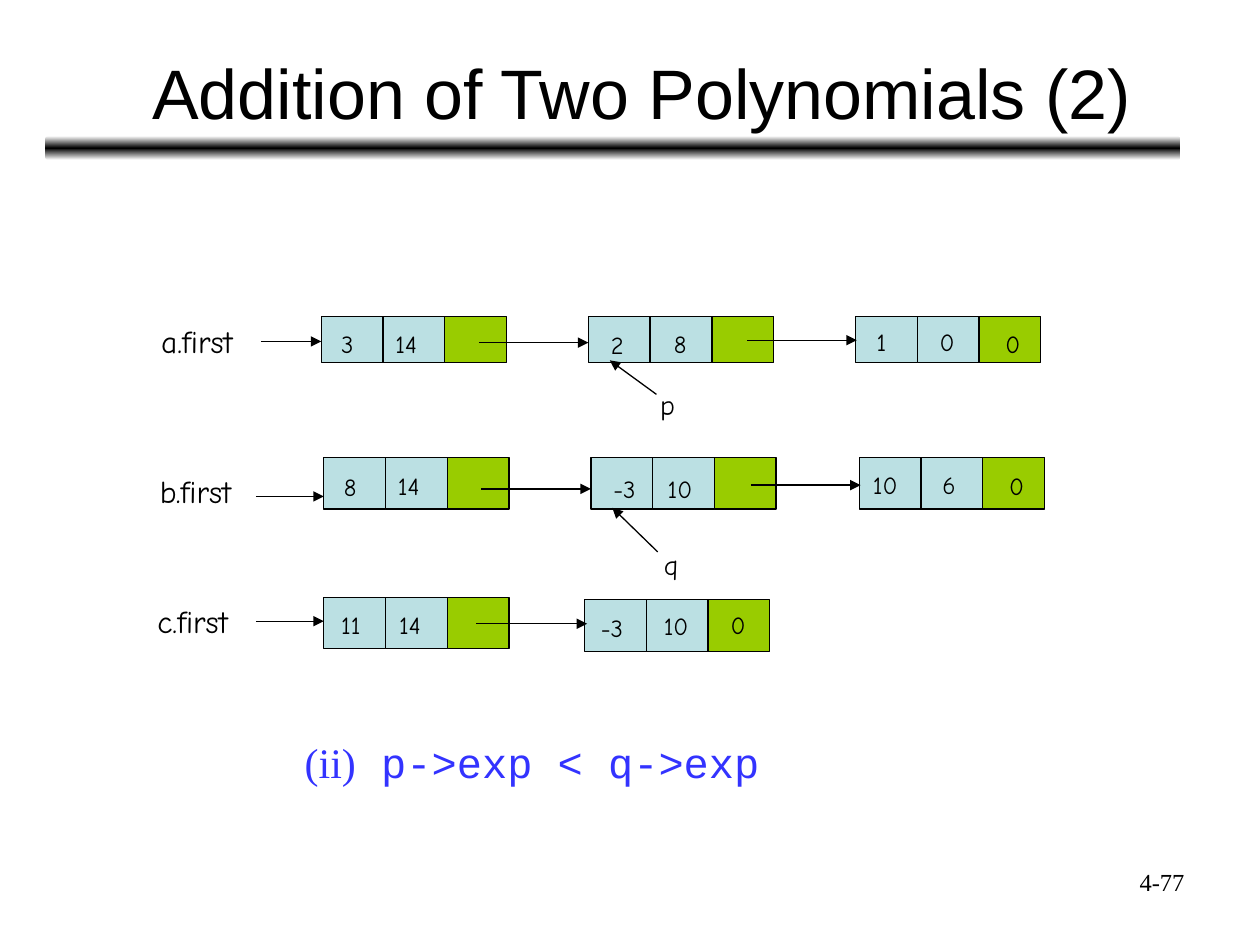
from copy import deepcopy
from dataclasses import dataclass

from lxml.etree import SubElement
from pptx import Presentation
from pptx.dml.color import RGBColor as RGB
from pptx.enum.shapes import MSO_CONNECTOR as CONN, MSO_SHAPE as SHAPE
from pptx.enum.text import MSO_ANCHOR as ANCHOR, MSO_AUTO_SIZE as FIT, PP_ALIGN as ALIGN
from pptx.oxml.ns import qn
from pptx.util import Inches, Pt


@dataclass(frozen=True)
class Theme:
    """Colours, fonts and type sizes of the slide."""
    ink: RGB = RGB(0, 0, 0)
    paper: RGB = RGB(255, 255, 255)
    data: RGB = RGB(0xBB, 0xE0, 0xE3)
    link: RGB = RGB(0x99, 0xCC, 0x00)
    accent: RGB = RGB(0x33, 0x33, 0xFF)
    heading: str = "Arial"
    hand: str = "Comic Neue"
    code: str = "Courier New"
    serif: str = "Times New Roman"
    title_size: int = 40
    case_size: int = 24
    head_size: int = 18
    pointer_size: int = 16
    value_size: int = 14
    stroke: float = 0.75


@dataclass(frozen=True)
class Label:
    """A short text with the place and width of its box."""
    text: str
    left: float
    top: float
    width: float
    size: int = 14


@dataclass(frozen=True)
class Node:
    """A list node of two data cells and one link cell."""
    left: float
    top: float
    height: float
    values: tuple[Label, ...]


@dataclass(frozen=True)
class Arrow:
    """A straight arrow from one point to another."""
    x1: float
    y1: float
    x2: float
    y2: float


T = Theme()
CELL_W = 0.49

NODES = (
    Node(2.55, 2.51, 0.37, (Label("3", 2.61, 2.56, 0.28), Label("14", 3.04, 2.56, 0.49))),
    Node(4.67, 2.51, 0.37, (Label("2", 4.75, 2.57, 0.28), Label("8", 5.25, 2.56, 0.28))),
    Node(6.79, 2.51, 0.37, (Label("1", 6.86, 2.55, 0.28), Label("0", 7.36, 2.55, 0.28),
                            Label("0", 7.88, 2.56, 0.29))),
    Node(2.57, 3.63, 0.41, (Label("8", 2.63, 3.7, 0.29), Label("14", 3.06, 3.69, 0.49))),
    Node(4.69, 3.63, 0.41, (Label("-3", 4.77, 3.71, 0.44), Label("10", 5.2, 3.71, 0.44))),
    Node(6.82, 3.63, 0.41, (Label("10", 6.83, 3.68, 0.49), Label("6", 7.38, 3.68, 0.29),
                            Label("0", 7.91, 3.69, 0.28))),
    Node(2.57, 4.74, 0.41, (Label("11", 2.61, 4.79, 0.44), Label("14", 3.07, 4.79, 0.44))),
    Node(4.64, 4.76, 0.41, (Label("-3", 4.67, 4.82, 0.44), Label("10", 5.17, 4.8, 0.44),
                            Label("0", 5.7, 4.79, 0.44))),
)
LABELS = (
    Label("a.first", 1.18, 2.51, 1.12, T.head_size),
    Label("b.first", 1.17, 3.7, 1.12, T.head_size),
    Label("c.first", 1.15, 4.73, 1.13, T.head_size),
    Label("p", 5.14, 3.03, 0.28, T.pointer_size),
    Label("q", 5.17, 4.3, 0.28, T.pointer_size),
)
ARROWS = (
    Arrow(2.07, 2.71, 2.55, 2.71), Arrow(3.8, 2.72, 4.67, 2.72), Arrow(5.93, 2.7, 6.8, 2.7),
    Arrow(2.03, 3.94, 2.57, 3.94), Arrow(3.82, 3.88, 4.69, 3.88), Arrow(5.96, 3.85, 6.83, 3.85),
    Arrow(2.03, 4.93, 2.57, 4.93), Arrow(3.78, 4.95, 4.66, 4.95),
    Arrow(5.21, 3.13, 4.84, 2.86), Arrow(5.22, 4.38, 4.86, 4.03),
)


def write(p, text: str, *, size: int, font: str = T.hand, color: RGB = T.ink,
          align: ALIGN = ALIGN.LEFT) -> None:
    """Add a formatted run to a paragraph."""
    p.alignment = align
    r = p.add_run()
    r.text = text
    r.font.size, r.font.name = Pt(size), font
    r.font.color.rgb = color


def add_box(s, left: float, top: float, width: float, height: float, fit: FIT = FIT.SHAPE_TO_FIT_TEXT):
    """Add a wrapping text box and return its first paragraph."""
    sp = s.shapes.add_textbox(Inches(left), Inches(top), Inches(width), Inches(height))
    tf = sp.text_frame
    tf.word_wrap, tf.auto_size = True, fit
    return tf.paragraphs[0]


def draw_label(s, label: Label) -> None:
    """Draw a label in a box one line high."""
    height = round(label.size / 60 + 0.1, 2)
    write(add_box(s, label.left, label.top, label.width, height), label.text, size=label.size)


def draw_node(s, node: Node) -> None:
    """Draw the grouped cells of a node and then its values."""
    grp = s.shapes.add_group_shape()
    for i, color in enumerate((T.data, T.data, T.link)):
        sp = grp.shapes.add_shape(SHAPE.RECTANGLE, Inches(node.left + i * CELL_W), Inches(node.top),
                                  Inches(CELL_W), Inches(node.height))
        sp.shadow.inherit = False
        sp.fill.solid()
        sp.fill.fore_color.rgb = color
        sp.line.color.rgb, sp.line.width = T.ink, Pt(T.stroke)
    for value in node.values:
        draw_label(s, value)


def draw_arrow(s, arrow: Arrow) -> None:
    """Draw an arrow with a triangular head at its end."""
    cx = s.shapes.add_connector(CONN.STRAIGHT, Inches(arrow.x1), Inches(arrow.y1),
                                Inches(arrow.x2), Inches(arrow.y2))
    cx.line.color.rgb, cx.line.width = T.ink, Pt(T.stroke)
    SubElement(cx.line._get_or_add_ln(), qn("a:tailEnd"), type="triangle")
    SubElement(cx._element.spPr, qn("a:effectLst"))


def draw_rule(s) -> None:
    """Draw the soft black bar under the title."""
    sp = s.shapes.add_shape(SHAPE.ROUNDED_RECTANGLE, Inches(0.36), Inches(1.08), Inches(9.01), Inches(0.19))
    sp.shadow.inherit = False
    sp.line.fill.background()
    sp.fill.gradient()
    sp.fill.gradient_angle = 90
    stops = sp._element.spPr.find(".//" + qn("a:gsLst"))
    stops.append(deepcopy(stops[0]))
    for stop, position, color in zip(sp.fill.gradient_stops, (0, 0.5, 1), (T.paper, T.ink, T.paper)):
        stop.position, stop.color.rgb = position, color


def draw_title(s, text: str) -> None:
    """Place and fill the title placeholder."""
    sp = s.shapes.title
    sp.left, sp.top, sp.width, sp.height = Inches(0.75), Inches(0.23), Inches(8.68), Inches(0.88)
    tf = sp.text_frame
    tf.vertical_anchor, tf.auto_size = ANCHOR.BOTTOM, FIT.NONE
    write(tf.paragraphs[0], text, size=T.title_size, font=T.heading, align=ALIGN.CENTER)


def main() -> None:
    """Build and save the slide."""
    prs = Presentation()
    prs.slide_width, prs.slide_height = Inches(10), Inches(7.5)
    s = prs.slides.add_slide(prs.slide_layouts[5])
    draw_rule(s)
    draw_title(s, "Addition of Two Polynomials (2)")
    for node in NODES:
        draw_node(s, node)
    for label in LABELS:
        draw_label(s, label)
    for arrow in ARROWS:
        draw_arrow(s, arrow)
    p = add_box(s, 2.32, 5.8, 5.02, 0.5)
    write(p, "(ii)", size=T.case_size, font=T.serif, color=T.accent)
    write(p, " p->exp < q->exp", size=T.case_size, font=T.code, color=T.accent)
    p = add_box(s, 7.17, 6.83, 2.33, 0.52, FIT.NONE)
    write(p, "4-77", size=T.value_size, font=T.serif, align=ALIGN.RIGHT)
    prs.save("out.pptx")


if __name__ == "__main__":
    main()
